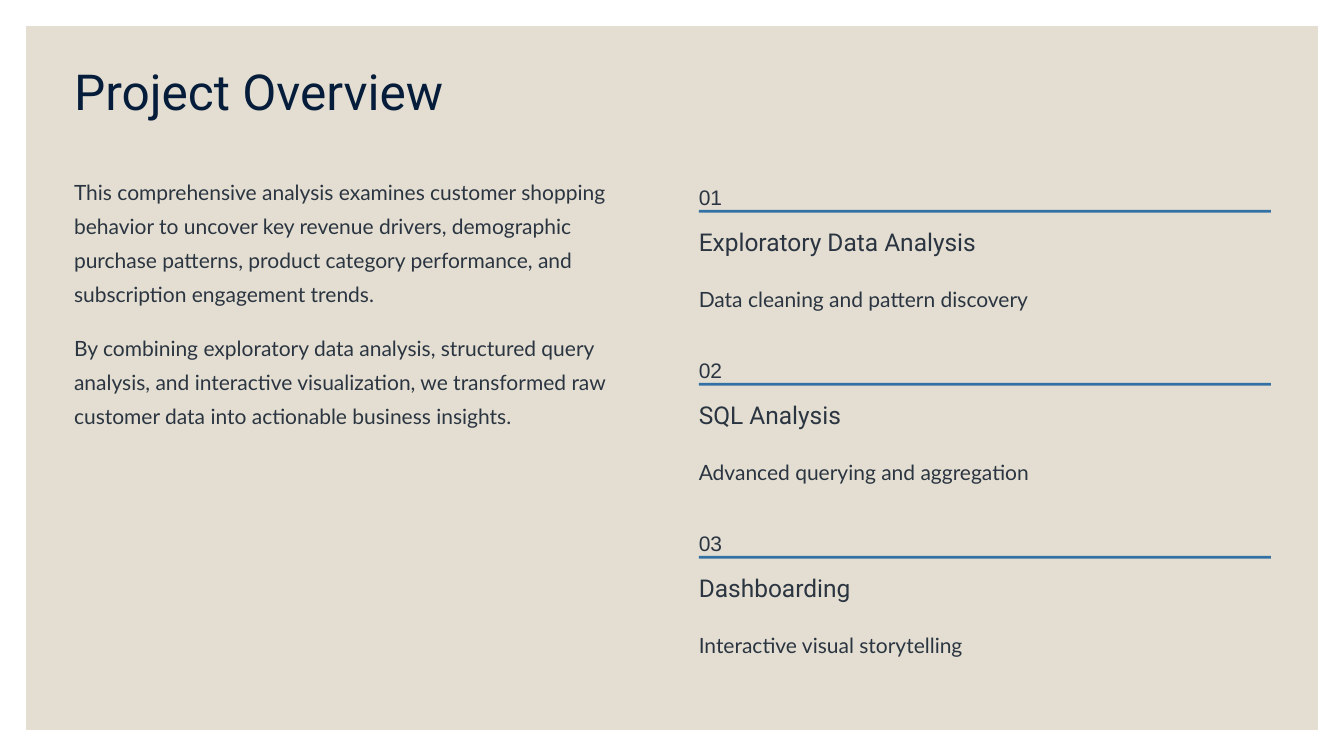
from pptx import Presentation
from pptx import util as u
from pptx.dml import color
from pptx.enum import shapes, text

NAVY, SLATE, BLUE, SAND = "051D3A", "2B3541", "3371A5", "E3DED1"

TITLE = {"name": "Roboto", "size": 42.5, "spacing": 53.5, "color": NAVY}
HEADING = {"name": "Roboto", "size": 21, "spacing": 26.5, "color": SLATE}
BODY = {"name": "Lato", "size": 18, "spacing": 29, "color": SLATE}
NUMBER = {**BODY, "name": "Arial"}

LEFT, RIGHT, COLUMN_WIDTH = 2.24, 21.13, 17.3
STEP_TOP, STEP_PITCH = 5.33, 5.23

PARAGRAPHS = [
    (5.18, 4.11, "This comprehensive analysis examines customer shopping behavior "
     "to uncover key revenue drivers, demographic purchase patterns, product "
     "category performance, and subscription engagement trends."),
    (9.88, 3.07, "By combining exploratory data analysis, structured query analysis, "
     "and interactive visualization, we transformed raw customer data into "
     "actionable business insights."),
]
STEPS = [
    ("Exploratory Data Analysis", 9.07, "Data cleaning and pattern discovery"),
    ("SQL Analysis", 7.54, "Advanced querying and aggregation"),
    ("Dashboarding", 7.54, "Interactive visual storytelling"),
]


def rgb(value):
    return color.RGBColor.from_string(value)


def set_attributes(target, values):
    for name, value in values.items():
        setattr(target, name, value)


def write(shape, content, style, wrap):
    frame = shape.text_frame
    set_attributes(frame, {
        "margin_left": 0, "margin_top": 0, "margin_right": 0, "margin_bottom": 0,
        "auto_size": text.MSO_AUTO_SIZE.NONE,
        "vertical_anchor": text.MSO_ANCHOR.TOP, "word_wrap": wrap,
    })
    paragraph = frame.paragraphs[0]
    set_attributes(paragraph, {
        "alignment": text.PP_ALIGN.LEFT, "space_before": u.Pt(0),
        "line_spacing": u.Pt(style["spacing"]),
    })
    run = paragraph.add_run()
    run.text = content
    set_attributes(run.font, {"name": style["name"], "size": u.Pt(style["size"])})
    run.font.color.rgb = rgb(style["color"])


def add_title(slide, content):
    title = slide.shapes.title
    set_attributes(title, {"left": u.Cm(LEFT), "top": u.Cm(1.75),
                           "width": u.Cm(15.11), "height": u.Cm(1.88)})
    write(title, content, TITLE, False)


def add_text(slide, left, top, width, height, content, style, wrap=False):
    box = slide.shapes.add_textbox(*map(u.Cm, (left, top, width, height)))
    write(box, content, style, wrap)


def add_bar(slide, left, top, width, height, fill):
    shape = slide.shapes.add_shape(
        shapes.MSO_SHAPE.RECTANGLE, *map(u.Cm, (left, top, width, height)))
    shape.shadow.inherit = False
    shape.fill.solid()
    shape.fill.fore_color.rgb = rgb(fill)
    shape.line.fill.background()
    return shape


def add_step(slide, index, heading, heading_width, description):
    top = STEP_TOP + index * STEP_PITCH
    add_text(slide, RIGHT, top, 0.64, 0.81, f"{index + 1:02}", NUMBER)
    add_bar(slide, RIGHT, top + 1.02, COLUMN_WIDTH, 0.08, BLUE)
    add_text(slide, RIGHT, top + 1.5, heading_width, 0.94, heading, HEADING)
    add_text(slide, RIGHT, top + 3.07, COLUMN_WIDTH, 1.02, description, BODY)


def main():
    presentation = Presentation()
    presentation.slide_width, presentation.slide_height = u.Cm(40.64), u.Cm(22.86)
    slide = presentation.slides.add_slide(presentation.slide_layouts[5])

    panel = add_bar(slide, 0.79, 0.79, 39.06, 21.28, SAND)
    slide.shapes.title.element.addprevious(panel.element)  # behind the title
    add_title(slide, "Project Overview")
    for top, height, content in PARAGRAPHS:
        add_text(slide, LEFT, top, COLUMN_WIDTH, height, content, BODY, wrap=True)
    for index, step in enumerate(STEPS):
        add_step(slide, index, *step)

    presentation.save("out.pptx")


if __name__ == "__main__":
    main()
